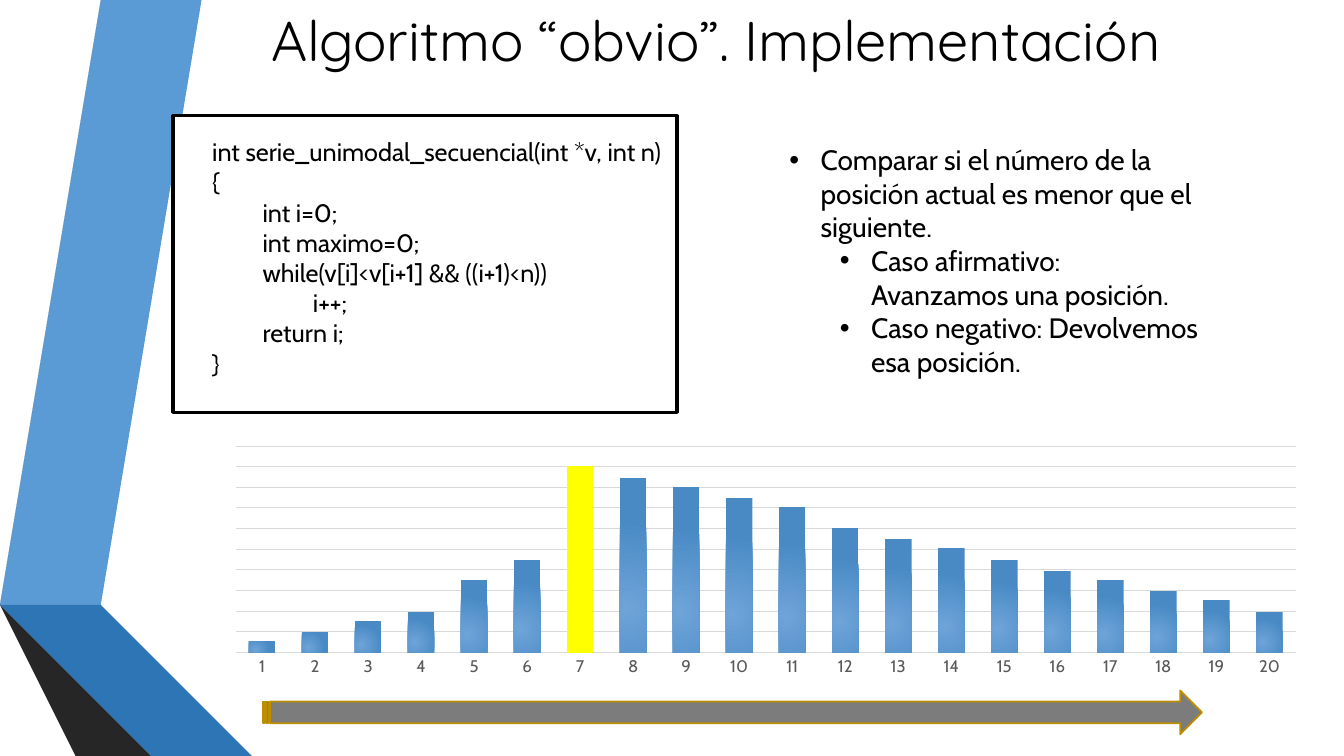
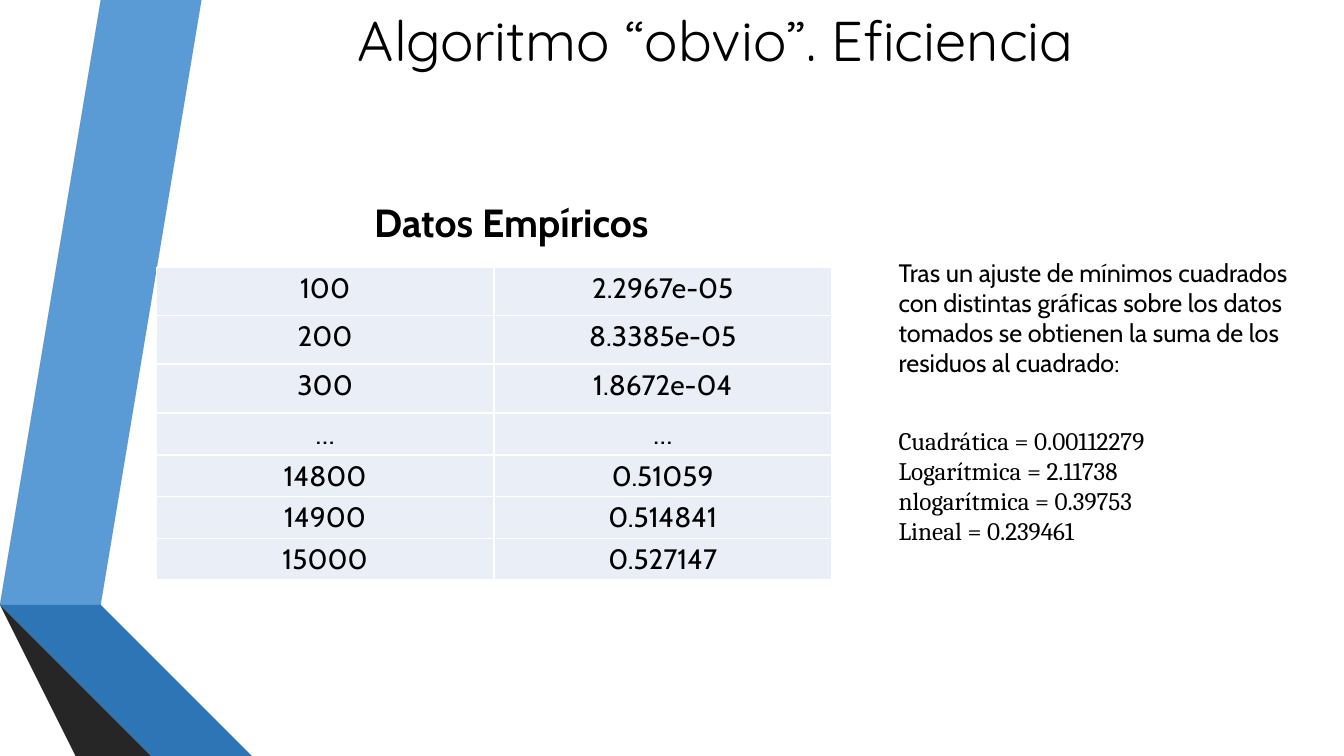
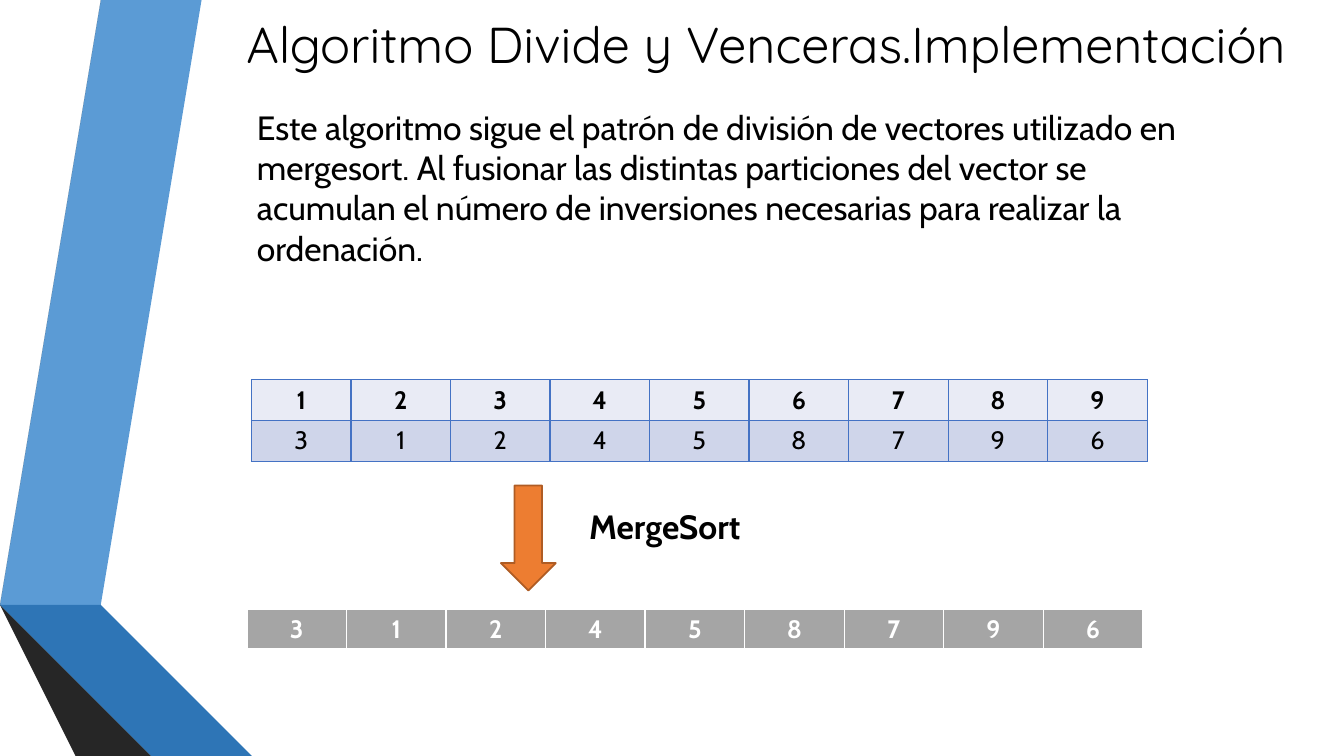
from dataclasses import dataclass

from lxml import etree
from pptx import Presentation
from pptx import util as u
from pptx.chart.data import CategoryChartData
from pptx.dml.color import RGBColor
from pptx.enum import chart as chart_enum, shapes, text
from pptx.oxml import parse_xml
from pptx.oxml.ns import nsdecls, qn

# The slide is a grid of 160 columns by 90 rows of square cells.
COLUMNS, ROWS = 160, 90
CELL = u.Inches(1 / 12)

BLACK = RGBColor(0, 0, 0)
WHITE = RGBColor(255, 255, 255)
YELLOW = RGBColor(255, 255, 0)
CHARCOAL = RGBColor(0x26, 0x26, 0x26)
DARK_GRAY = RGBColor(0x40, 0x40, 0x40)
GRAY = RGBColor(0x59, 0x59, 0x59)
MID_GRAY = RGBColor(0xA5, 0xA5, 0xA5)
GRID_GRAY = RGBColor(0xD9, 0xD9, 0xD9)
NAVY = RGBColor(0x1F, 0x4E, 0x79)
DEEP_BLUE = RGBColor(0x2E, 0x75, 0xB6)
SKY_BLUE = RGBColor(0x5B, 0x9B, 0xD5)
BORDER_BLUE = RGBColor(0x44, 0x72, 0xC4)
BAR_INNER = RGBColor(0x6E, 0xA4, 0xD8)
BAR_OUTER = RGBColor(0x49, 0x8A, 0xC5)
ICE = RGBColor(0xEA, 0xEF, 0xF7)
LAVENDER = RGBColor(0xE9, 0xEB, 0xF5)
PERIWINKLE = RGBColor(0xCF, 0xD5, 0xEA)
ORANGE = RGBColor(0xED, 0x7D, 0x31)
RUST = RGBColor(0xAF, 0x5C, 0x24)
GOLD = RGBColor(0xBD, 0x8E, 0x00)

TITLE_FONT, BODY_FONT, FORMULA_FONT = "Quicksand", "Cabin", "Cambria"
LEFT, CENTER, JUSTIFY = (text.PP_ALIGN.LEFT, text.PP_ALIGN.CENTER,
                         text.PP_ALIGN.JUSTIFY)

# Ribbon facets, as corner points in inches.
RIBBON = [
    (SKY_BLUE, [(0.5, 5.78), (0.77, 5.83), (1.73, 0), (1.45, 0)]),
    (GRAY, [(1.39, 0), (1.11, 0), (0.16, 5.73), (0.44, 5.77)]),
    (CHARCOAL, [(0.16, 5.73), (1.45, 7.5), (1.51, 7.5)]),
    (NAVY, [(0.5, 5.79), (2.08, 7.5), (2.14, 7.5)]),
    (DEEP_BLUE, [(0.5, 5.78), (0.5, 5.79), (2.14, 7.5), (2.83, 7.5),
                 (0.77, 5.83)]),
    (DARK_GRAY, [(2.02, 7.5), (0.48, 5.83), (0.43, 5.78), (0.44, 5.77),
                 (0.16, 5.73), (1.51, 7.5)]),
]

CODE = [  # indent level, line
    (0, "int serie_unimodal_secuencial(int *v, int n)"),
    (0, "{"),
    (1, "int i=0;"),
    (1, "int maximo=0;"),
    (1, "while(v[i]<v[i+1] && ((i+1)<n))"),
    (2, "i++;"),
    (1, "return i;"),
    (0, "}"),
]
STEPS = [
    (0, "Comparar si el número de la posición actual es menor que el "
        "siguiente."),
    (1, "Caso afirmativo: Avanzamos una posición."),
    (1, "Caso negativo: Devolvemos esa posición."),
]
SERIES_VALUES = [6, 11, 17, 22, 39, 50, 100, 94, 89, 83,
                 78, 67, 61, 56, 50, 44, 39, 33, 28, 22]
PEAK = SERIES_VALUES.index(max(SERIES_VALUES))
FIRST_TIMES = [("100", "2.2967e-05"), ("200", "8.3385e-05"),
               ("300", "1.8672e-04")]
LAST_TIMES = [("…", "…"), ("14800", "0.51059"), ("14900", "0.514841"),
              ("15000", "0.527147")]
RESIDUALS = ["Cuadrática = 0.00112279", "Logarítmica = 2.11738",
             "nlogarítmica = 0.39753", "Lineal = 0.239461"]
VECTOR = "312458796"


@dataclass
class Box:
    """A rectangle in grid cells."""
    left: float
    top: float
    width: float
    height: float

    def inner(self, left, top, width, height):
        """Return an inner box given in percent of this one."""
        return Box(self.left + self.width * left / 100,
                   self.top + self.height * top / 100,
                   self.width * width / 100, self.height * height / 100)

    def emu(self):
        return [round(CELL * length) for length in
                (self.left, self.top, self.width, self.height)]


def add_line(frame, index, line, size, font=BODY_FONT, color=BLACK,
             bold=False, align=LEFT):
    paragraph = frame.paragraphs[0] if index == 0 else frame.add_paragraph()
    paragraph.alignment = align
    run = paragraph.add_run()
    run.text = line
    run.font.size = u.Pt(size)
    run.font.name = font
    run.font.bold = bold
    run.font.color.rgb = color


def add_text(slide, box, lines, size, **style):
    """Add a text box; return its frame."""
    frame = slide.shapes.add_textbox(*box.emu()).text_frame
    frame.word_wrap = True
    for index, line in enumerate(lines):
        add_line(frame, index, line, size, **style)
    return frame


def indent(paragraph, margin, hanging=0, bullet=None):
    properties = paragraph._p.get_or_add_pPr()
    properties.set("marL", str(u.Inches(margin)))
    properties.set("indent", str(-u.Inches(hanging)))
    if bullet:
        font = etree.SubElement(properties, qn("a:buFont"))
        font.set("typeface", "Arial")
        etree.SubElement(properties, qn("a:buChar")).set("char", bullet)


def add_preset(slide, kind, box, fill, line, weight):
    shape = slide.shapes.add_shape(kind, *box.emu())
    shape.shadow.inherit = False
    shape.fill.solid()
    shape.fill.fore_color.rgb = fill
    shape.line.color.rgb = line
    shape.line.width = u.Pt(weight)
    return shape


def set_borders(cell, color, weights):
    """Draw left, right, top and bottom borders, weights in points."""
    properties = cell._tc.get_or_add_tcPr()
    for index, (side, weight) in enumerate(zip("LRTB", weights)):
        properties.insert(index, parse_xml(
            f'<a:ln{side} {nsdecls("a")} w="{u.Pt(weight)}"><a:solidFill>'
            f'<a:srgbClr val="{color}"/></a:solidFill></a:ln{side}>'))


def add_grid(slide, box, rows, size, fills, border, weights=(1, 1, 1, 1),
             color=BLACK, bold_first=False, inset=None):
    """Add a table of equal cells, with one fill for each row."""
    table = slide.shapes.add_table(len(rows), len(rows[0]), *box.emu()).table
    table.first_row = table.horz_banding = False
    for row_index, (values, fill) in enumerate(zip(rows, fills)):
        for column_index, value in enumerate(values):
            cell = table.cell(row_index, column_index)
            cell.fill.solid()
            cell.fill.fore_color.rgb = fill
            if inset:
                cell.margin_left = cell.margin_right = u.Inches(inset)
                cell.margin_top = cell.margin_bottom = u.Inches(inset)
            add_line(cell.text_frame, 0, value, size, color=color,
                     bold=bold_first and row_index == 0, align=CENTER)
            set_borders(cell, border, weights)


def put_ribbon_on_layout(slide):
    """Build the folded ribbon and hand it to the layout all slides share."""
    ribbon = slide.shapes.add_group_shape()
    for color, points in RIBBON:
        builder = ribbon.shapes.build_freeform(*points[0], scale=u.Inches(1))
        builder.add_line_segments(points[1:], close=True)
        facet = builder.convert_to_shape()
        facet.shadow.inherit = False
        facet.fill.solid()
        facet.fill.fore_color.rgb = color
        facet.line.fill.background()
    slide.slide_layout.shapes.element.append(ribbon.element)


def add_title(slide, title, box=Box(24.1, -0.4, 122.2, 10.2), size=40):
    frame = add_text(slide, box, [title], size, font=TITLE_FONT, align=CENTER)
    frame.vertical_anchor = text.MSO_ANCHOR.MIDDLE


def add_code_panel(slide, box):
    add_preset(slide, shapes.MSO_SHAPE.RECTANGLE, box, WHITE, BLACK, 2.25)
    frame = add_text(slide, box.inner(5.8, -5, 94.2, 96.3),
                     [line for _, line in CODE], 18)
    frame.margin_top = u.Inches(0.35)
    for paragraph, (level, _) in zip(frame.paragraphs, CODE):
        indent(paragraph, level / 2)


def add_steps(slide, box):
    frame = add_text(slide, box, [line for _, line in STEPS], 20)
    for paragraph, (level, _) in zip(frame.paragraphs, STEPS):
        paragraph.level = level
        indent(paragraph, 0.31 + level / 2, 0.31, "•")


def fill_bars(series):
    fill = series.format.fill
    fill.solid()
    solid = series._element.find(f'{qn("c:spPr")}/{qn("a:solidFill")}')
    solid.getparent().replace(solid, parse_xml(
        f'<a:gradFill {nsdecls("a")} rotWithShape="1"><a:gsLst>'
        f'<a:gs pos="0"><a:srgbClr val="{BAR_INNER}"/></a:gs>'
        f'<a:gs pos="100000"><a:srgbClr val="{BAR_OUTER}"/></a:gs></a:gsLst>'
        '<a:path path="circle"><a:fillToRect l="50000" t="100000" '
        'r="100000" b="50000"/></a:path></a:gradFill>'))
    peak_fill = series.points[PEAK].format.fill
    peak_fill.solid()
    peak_fill.fore_color.rgb = YELLOW


def place_plot(chart, x, y, w, h):
    """Fix the inner plot area, in shares of the chart."""
    area = chart._chartSpace.chart.plotArea
    for layout in area.findall(qn("c:layout")):
        area.remove(layout)
    sides = "".join(f'<c:{name} val="{value}"/>' for name, value in
                    zip("xywh", (x, y, w, h)))
    area.insert(0, parse_xml(
        f'<c:layout {nsdecls("c")}><c:manualLayout>'
        '<c:layoutTarget val="inner"/><c:xMode val="edge"/>'
        f'<c:yMode val="edge"/>{sides}</c:manualLayout></c:layout>'))


def add_series_chart(slide, box):
    data = CategoryChartData()
    data.categories = [str(n + 1) for n in range(len(SERIES_VALUES))]
    data.add_series("Series 1", SERIES_VALUES)
    chart = slide.shapes.add_chart(
        chart_enum.XL_CHART_TYPE.COLUMN_CLUSTERED, *box.emu(), data).chart
    chart.has_legend = chart.has_title = False
    chart.font.size = u.Pt(10)
    chart.font.name = BODY_FONT
    chart.font.color.rgb = BLACK

    plot = chart.plots[0]
    plot.vary_by_categories = False
    plot.gap_width, plot.overlap = 100, -24
    fill_bars(plot.series[0])

    categories = chart.category_axis
    categories.major_tick_mark = chart_enum.XL_TICK_MARK.NONE
    categories.format.line.color.rgb = GRID_GRAY
    categories.format.line.width = u.Pt(1)
    labels = categories.tick_labels.font
    labels.size, labels.name = u.Pt(12), BODY_FONT
    labels.color.rgb = GRAY

    values = chart.value_axis
    values.visible = False
    values.minimum_scale, values.maximum_scale = 0, 111
    values.major_unit = 11.1
    values.has_major_gridlines = True
    gridline = values.major_gridlines.format.line
    gridline.color.rgb = GRID_GRAY
    gridline.width = u.Pt(0.75)
    place_plot(chart, 0.03, 0.1, 0.96, 0.6)


def add_scan(slide, box):
    """Chart the series, with the arrow of the scan below it."""
    add_series_chart(slide, box)
    arrow = add_preset(slide, shapes.MSO_SHAPE.STRIPED_RIGHT_ARROW,
                       box.inner(5.5, 81, 85, 12.7), CHARCOAL, GOLD, 1.25)
    color = arrow._element.spPr.find(f'{qn("a:solidFill")}/{qn("a:srgbClr")}')
    etree.SubElement(color, qn("a:alpha")).set("val", "60000")


def add_measurements(slide, box):
    for table_box, rows in ((box.inner(0, 19.2, 100, 37.7), FIRST_TIMES),
                            (box.inner(0, 57.1, 100, 42.9), LAST_TIMES)):
        add_grid(slide, table_box, rows, 20, [ICE] * len(rows), WHITE,
                 inset=0.04)
    add_text(slide, box.inner(30.8, 0, 50, 14.8), ["Datos Empíricos"], 28,
             bold=True)


def add_fit_results(slide, box):
    add_text(slide, box.inner(0, 0, 100, 44), [
        "Tras un ajuste de mínimos cuadrados con distintas gráficas sobre "
        "los datos tomados se obtienen la suma de los residuos al "
        "cuadrado:"], 18)
    add_text(slide, box.inner(0, 56, 80, 44), RESIDUALS, 18,
             font=FORMULA_FONT, align=JUSTIFY)


def add_merge_sort(slide, box):
    add_grid(slide, box.inner(0.5, 0, 99.5, 30.4), ["123456789", VECTOR], 18,
             [LAVENDER, PERIWINKLE], BORDER_BLUE, bold_first=True)
    add_grid(slide, box.inner(0, 85.6, 99.5, 14.4), [VECTOR], 18, [MID_GRAY],
             WHITE, weights=(1, 1, 1, 3), color=WHITE, bold_first=True)
    add_preset(slide, shapes.MSO_SHAPE.DOWN_ARROW,
               box.inner(28.2, 39.5, 6.1, 39.2), ORANGE, RUST, 1.25)
    add_text(slide, box.inner(36.9, 45.1, 26, 18.8), ["MergeSort"], 24,
             bold=True)


def build_implementation(slide):
    add_title(slide, "Algoritmo “obvio”. Implementación")
    add_code_panel(slide, Box(20.6, 13.8, 60, 35.3))
    add_scan(slide, Box(24.1, 49, 131.5, 41))
    add_steps(slide, Box(92.8, 16.4, 51.4, 29.5))


def build_efficiency(slide):
    add_title(slide, "Algoritmo “obvio”. Eficiencia")
    add_measurements(slide, Box(18.6, 23, 80.4, 45.9))
    add_fit_results(slide, Box(105.8, 30, 50.8, 35.7))


def build_divide_and_conquer(slide):
    add_title(slide, "Algoritmo Divide y Venceras.Implementación",
              Box(20.6, 0, 141.2, 10.2), 36)
    add_text(slide, Box(29.4, 12.1, 112.7, 20.6), [
        "Este algoritmo sigue el patrón de división de vectores utilizado en "
        "mergesort. Al fusionar las distintas particiones del vector se "
        "acumulan el número de inversiones necesarias para realizar la "
        "ordenación."], 24)
    add_merge_sort(slide, Box(29.4, 45.2, 107.2, 31.9))


def main():
    presentation = Presentation()
    presentation.slide_width = CELL * COLUMNS
    presentation.slide_height = CELL * ROWS
    blank = presentation.slide_layouts[6]
    builders = (build_implementation, build_efficiency,
                build_divide_and_conquer)
    slides = [presentation.slides.add_slide(blank) for _ in builders]
    put_ribbon_on_layout(slides[0])
    for build, slide in zip(builders, slides):
        build(slide)
    presentation.save("out.pptx")


if __name__ == "__main__":
    main()
